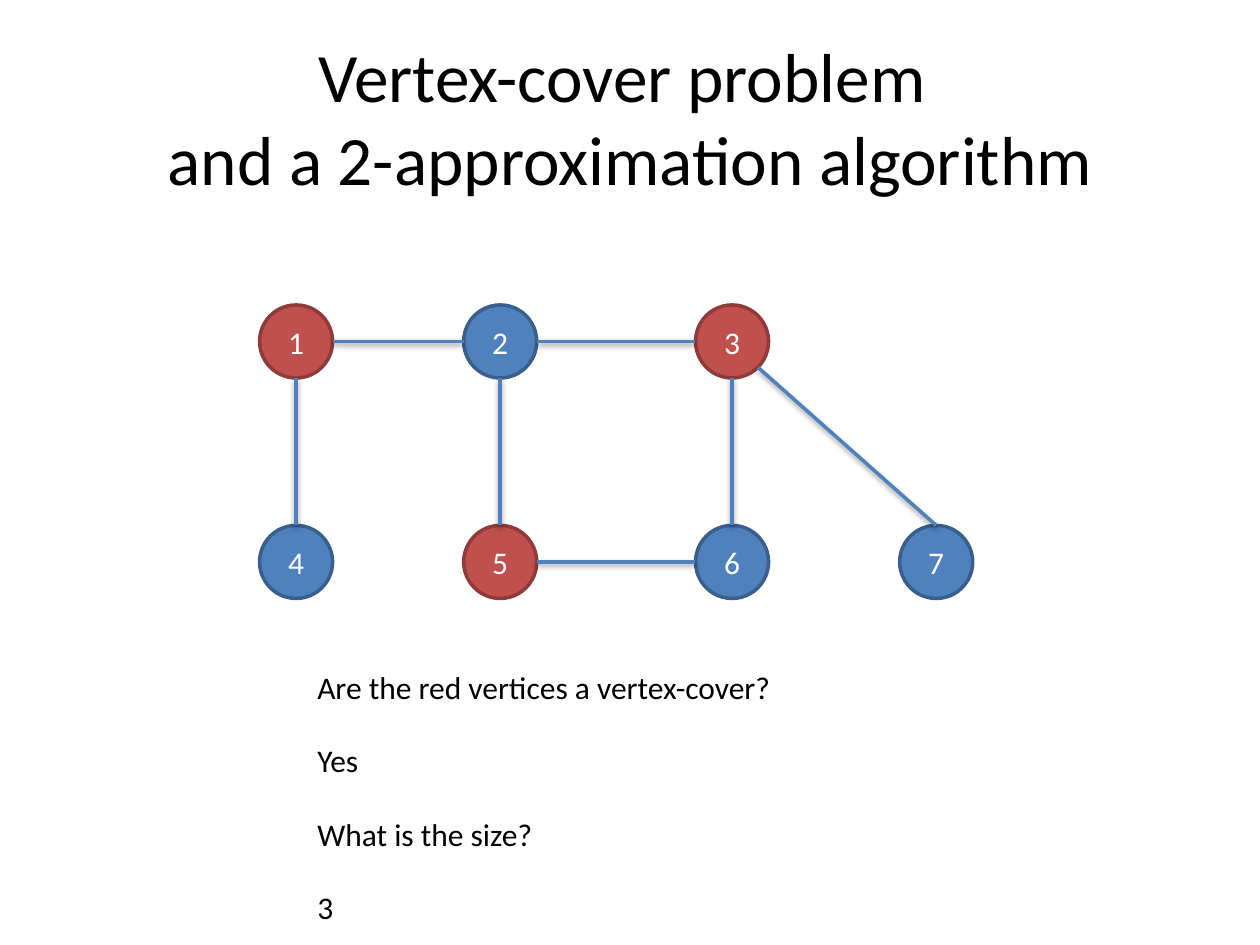
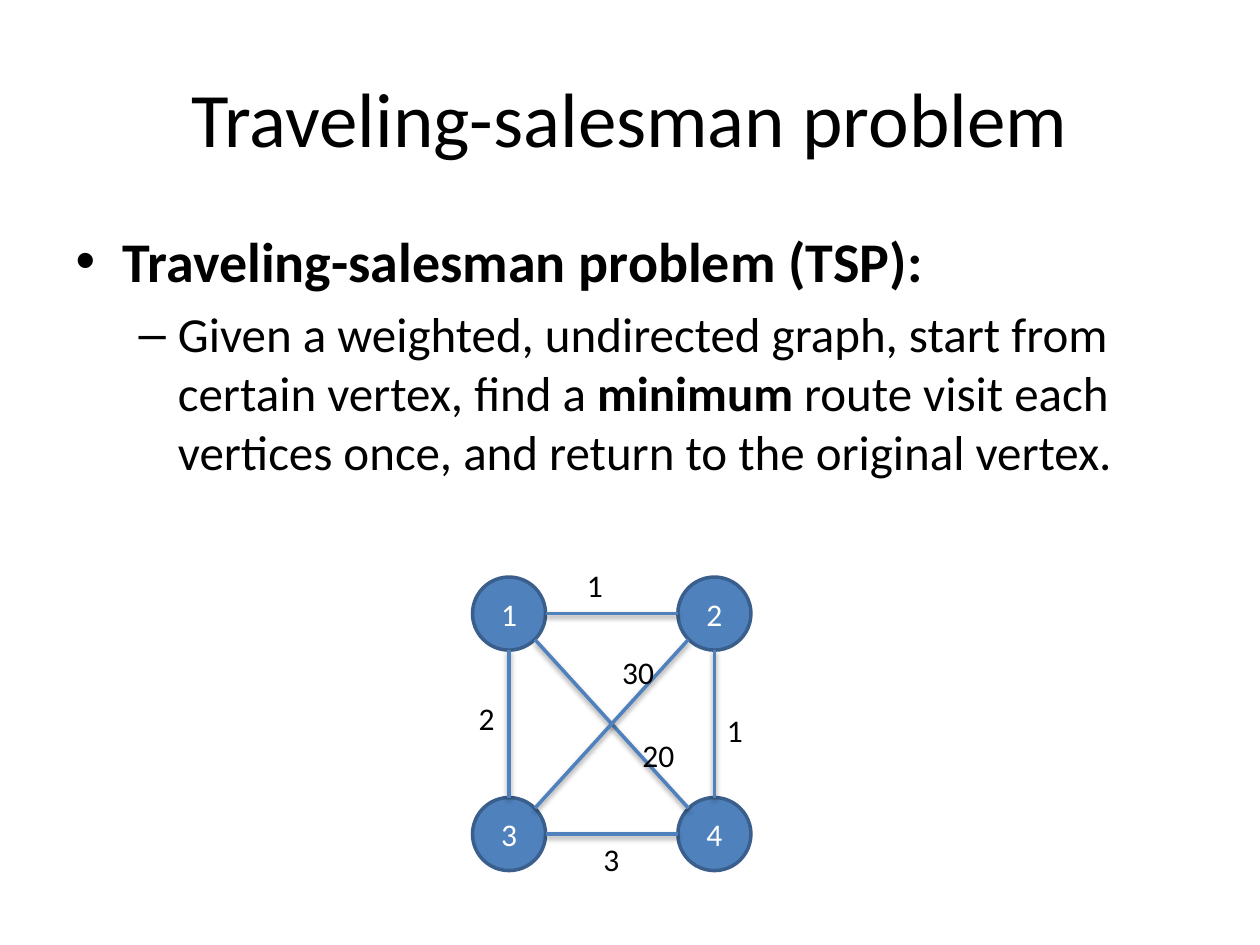
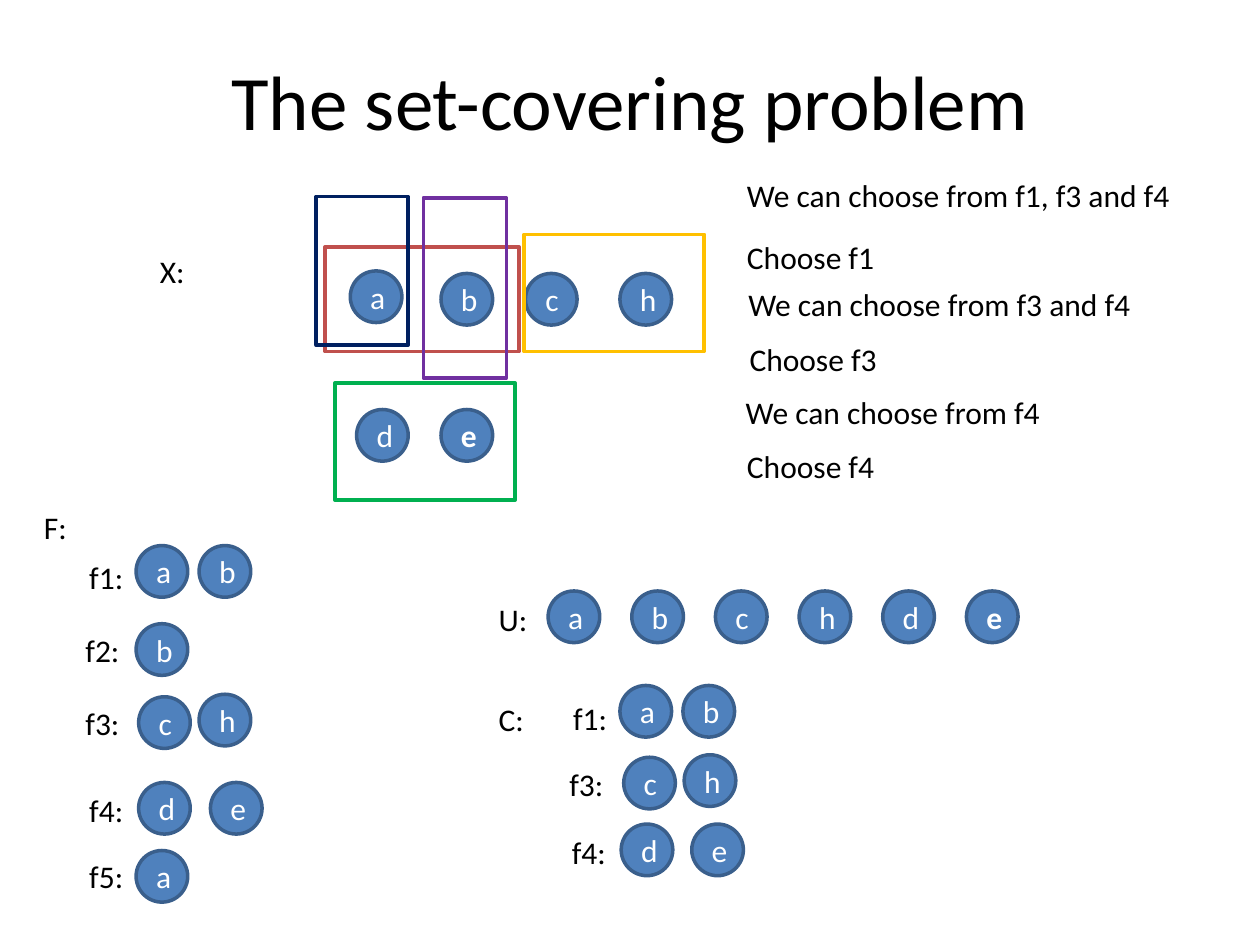
"""Build three slides on approximation algorithms for graph and set problems."""
from dataclasses import dataclass

from lxml import etree
from pptx import Presentation
from pptx.dml import color
from pptx.enum import shapes, text
from pptx.oxml import ns
from pptx.util import Inches, Pt


@dataclass(frozen=True)
class Theme:
    font: str = "Calibri"
    black: str = "000000"
    white: str = "FFFFFF"
    blue: str = "4F81BD"
    blue_edge: str = "3A5F8C"
    red: str = "C0504D"
    red_edge: str = "8E3B39"
    purple: str = "7030A0"
    gold: str = "FFC000"
    green: str = "00B050"
    navy: str = "002060"
    title_size: float = 44
    long_title_size: float = 39.6
    bullet_sizes: tuple = (32, 28)
    label_size: float = 18
    line_width: float = 2
    vertex: float = 0.58
    element: float = 0.41


COMPASS = {
    "n": (0, -1), "s": (0, 1), "w": (-1, 0), "e": (1, 0),
    "ne": (0.71, -0.71), "se": (0.71, 0.71), "nw": (-0.71, -0.71), "sw": (-0.71, 0.71),
}


class Deck:
    def __init__(self, theme):
        self.theme = theme
        self.presentation = Presentation()
        self.presentation.slide_width = Inches(10)
        self.presentation.slide_height = Inches(7.5)
        self.slide = None

    def new_slide(self, title_lines, top=0.3, size=None, layout="Title Only"):
        chosen = self.presentation.slide_layouts.get_by_name(layout)
        self.slide = self.presentation.slides.add_slide(chosen)
        title = self.slide.shapes.title
        self.place(title, 0.5, top, 9, 1.25)
        frame = title.text_frame
        frame.auto_size = text.MSO_AUTO_SIZE.NONE
        frame.vertical_anchor = text.MSO_ANCHOR.MIDDLE
        paragraph = frame.paragraphs[0]
        paragraph.alignment = text.PP_ALIGN.CENTER
        for index, line in enumerate(title_lines):
            if index:
                paragraph.add_line_break()
            self.run(paragraph, line, size or self.theme.title_size)

    def place(self, shape, left, top, width, height):
        shape.left, shape.top = Inches(left), Inches(top)
        shape.width, shape.height = Inches(width), Inches(height)

    def run(self, paragraph, words, size, fill=None, bold=False):
        run = paragraph.add_run()
        run.text = words
        run.font.name = self.theme.font
        run.font.size = Pt(size)
        run.font.bold = bold
        run.font.color.rgb = color.RGBColor.from_string(fill or self.theme.black)

    def outline(self, shape, tint):
        shape.line.color.rgb = color.RGBColor.from_string(tint)
        shape.line.width = Pt(self.theme.line_width)

    def bullets(self, items):
        body = self.slide.placeholders[1]
        self.place(body, 0.5, 1.75, 9, 4.95)
        frame = body.text_frame
        frame.auto_size = text.MSO_AUTO_SIZE.NONE
        for index, (level, runs) in enumerate(items):
            paragraph = frame.add_paragraph() if index else frame.paragraphs[0]
            paragraph.level = level
            for words, bold in runs:
                self.run(paragraph, words, self.theme.bullet_sizes[level], bold=bold)

    def label(self, words, left, top, width=0.58):
        box = self.slide.shapes.add_textbox(Inches(left), Inches(top), Inches(width), Inches(0.4))
        frame = box.text_frame
        frame.word_wrap = True
        frame.auto_size = text.MSO_AUTO_SIZE.SHAPE_TO_FIT_TEXT
        self.run(frame.paragraphs[0], words, self.theme.label_size)

    def circle(self, words, left, top, size, red=False, bold=False):
        shape = self.slide.shapes.add_shape(
            shapes.MSO_SHAPE.OVAL, Inches(left), Inches(top), Inches(size), Inches(size))
        shape.shadow.inherit = False
        shape.fill.solid()
        fill = self.theme.red if red else self.theme.blue
        shape.fill.fore_color.rgb = color.RGBColor.from_string(fill)
        self.outline(shape, self.theme.red_edge if red else self.theme.blue_edge)
        frame = shape.text_frame
        frame.vertical_anchor = text.MSO_ANCHOR.MIDDLE
        paragraph = frame.paragraphs[0]
        paragraph.alignment = text.PP_ALIGN.CENTER
        self.run(paragraph, words, self.theme.label_size, self.theme.white, bold)

    def frame(self, tint, left, top, width, height):
        shape = self.slide.shapes.add_shape(
            shapes.MSO_SHAPE.RECTANGLE, Inches(left), Inches(top), Inches(width), Inches(height))
        shape.shadow.inherit = False
        shape.fill.background()
        self.outline(shape, tint)

    def edge(self, start, end):
        line = self.slide.shapes.add_connector(
            shapes.MSO_CONNECTOR.STRAIGHT, *map(Inches, start), *map(Inches, end))
        self.outline(line, self.theme.blue)
        properties = line._element.spPr
        effects = etree.SubElement(properties, ns.qn("a:effectLst"))
        shadow = etree.SubElement(effects, ns.qn("a:outerShdw"), blurRad="40000",
                                  dist="20000", dir="5400000", rotWithShape="0")
        tint = etree.SubElement(shadow, ns.qn("a:srgbClr"), val=self.theme.black)
        etree.SubElement(tint, ns.qn("a:alpha"), val="38000")

    def graph(self, vertices, edges, red=()):
        radius = self.theme.vertex / 2
        for name, (left, top) in vertices.items():
            self.circle(name, left, top, self.theme.vertex, name in red)

        def site(name, side):
            return [corner + radius * (1 + step)
                    for corner, step in zip(vertices[name], COMPASS[side])]

        for first, leave, second, arrive in edges:
            self.edge(site(first, leave), site(second, arrive))

    def elements(self, letters, lefts, top, bold=""):
        for letter, left in zip(letters, lefts):
            self.circle(letter, left, top, self.theme.element, bold=letter in bold)


def vertex_cover(deck):
    deck.new_slide(("Vertex-cover problem ", "and a 2-approximation algorithm"),
                   size=deck.theme.long_title_size)
    columns = (2.06, 3.68, 5.52, 7.14)
    vertices = {str(i + 1): (left, 2.42) for i, left in enumerate(columns[:3])}
    vertices |= {str(i + 4): (left, 4.17) for i, left in enumerate(columns)}
    edges = (("1", "s", "4", "n"), ("1", "e", "2", "w"), ("2", "e", "3", "w"),
             ("2", "s", "5", "n"), ("3", "se", "7", "n"), ("3", "s", "6", "n"),
             ("5", "e", "6", "w"))
    deck.graph(vertices, edges, red="135")
    answers = (("Are the red vertices a vertex-cover?", 4.17), ("Yes", 4.17),
               ("What is the size?", 5.75), ("3", 0.67))
    for index, (words, width) in enumerate(answers):
        deck.label(words, 2.42, 5.25 + index * 1.75 / 3, width)


def traveling_salesman(deck):
    deck.new_slide(("Traveling-salesman problem",), layout="Title and Content")
    deck.bullets((
        (0, (("Traveling-salesman problem (TSP):", True),)),
        (1, (("Given a weighted, undirected graph, start from certain vertex, find a ", False),
             ("minimum", True),
             (" route visit each vertices once, and return to the original vertex. ", False))),
    ))
    vertices = {str(1 + 2 * row + column): (left, top)
                for row, top in enumerate((4.58, 6.33))
                for column, left in enumerate((3.75, 5.38))}
    edges = (("1", "s", "3", "n"), ("1", "e", "2", "w"), ("2", "s", "4", "n"),
             ("3", "e", "4", "w"), ("1", "se", "4", "nw"), ("3", "ne", "2", "sw"))
    deck.graph(vertices, edges)
    for weight, left, top in (("1", 4.56, 4.44), ("2", 3.7, 5.5), ("1", 5.67, 5.59),
                              ("3", 4.69, 6.62), ("30", 4.84, 5.13), ("20", 5, 5.79)):
        deck.label(weight, left, top, 0.33 if len(weight) == 1 else 0.46)


def set_covering(deck):
    theme = deck.theme
    deck.new_slide(("The set-covering problem",), top=0.17)
    deck.elements("a", (2.78,), 2.15)
    deck.elements("bch", (3.5, 4.17, 4.92), 2.17)
    deck.elements("de", (2.83, 3.5), 3.25, bold="e")
    for words, left, top in (("X:", 1.17, 1.95), ("F:", 0.25, 3.98),
                             ("U:", 3.86, 4.71), ("C:", 3.86, 5.51)):
        deck.label(words, left, top)
    subsets = (
        ("f1:", 0.61, 4.38, (("a", 1.08, 4.33), ("b", 1.58, 4.33))),
        ("f2:", 0.58, 4.96, (("b", 1.08, 4.95),)),
        ("f3:", 0.58, 5.54, (("c", 1.1, 5.53), ("h", 1.58, 5.51))),
        ("f4:", 0.61, 6.23, (("d", 1.1, 6.21), ("e", 1.67, 6.21))),
        ("f5:", 0.61, 6.75, (("a", 1.08, 6.75),)),
        ("f1:", 4.45, 5.5, (("a", 4.92, 5.44), ("b", 5.42, 5.44))),
        ("f3:", 4.42, 6.02, (("c", 4.95, 6.01), ("h", 5.43, 5.99))),
        ("f4:", 4.44, 6.56, (("d", 4.93, 6.54), ("e", 5.49, 6.54))),
    )
    for name, left, top, members in subsets:
        deck.label(name, left, top)
        for letter, x, y in members:
            deck.circle(letter, x, y, theme.element)
    for tint, *box in ((theme.red, 2.58, 1.96, 1.54, 0.83),
                       (theme.purple, 3.36, 1.57, 0.66, 1.43),
                       (theme.gold, 4.16, 1.86, 1.43, 0.93),
                       (theme.green, 2.66, 3.04, 1.43, 0.93),
                       (theme.navy, 2.51, 1.56, 0.73, 1.18)):
        deck.frame(tint, *box)
    deck.elements("abchde", [4.35 + i * 0.664 for i in range(6)], 4.69, bold="e")
    for words, left, top in (("We can choose from f1, f3 and f4", 5.83, 1.35),
                             ("Choose f1", 5.83, 1.84),
                             ("We can choose from f3 and f4", 5.84, 2.21),
                             ("Choose f3", 5.85, 2.65),
                             ("We can choose from f4", 5.82, 3.07),
                             ("Choose f4", 5.83, 3.5)):
        deck.label(words, left, top, 4.15)


deck = Deck(Theme())
vertex_cover(deck)
traveling_salesman(deck)
set_covering(deck)
deck.presentation.save("out.pptx")
